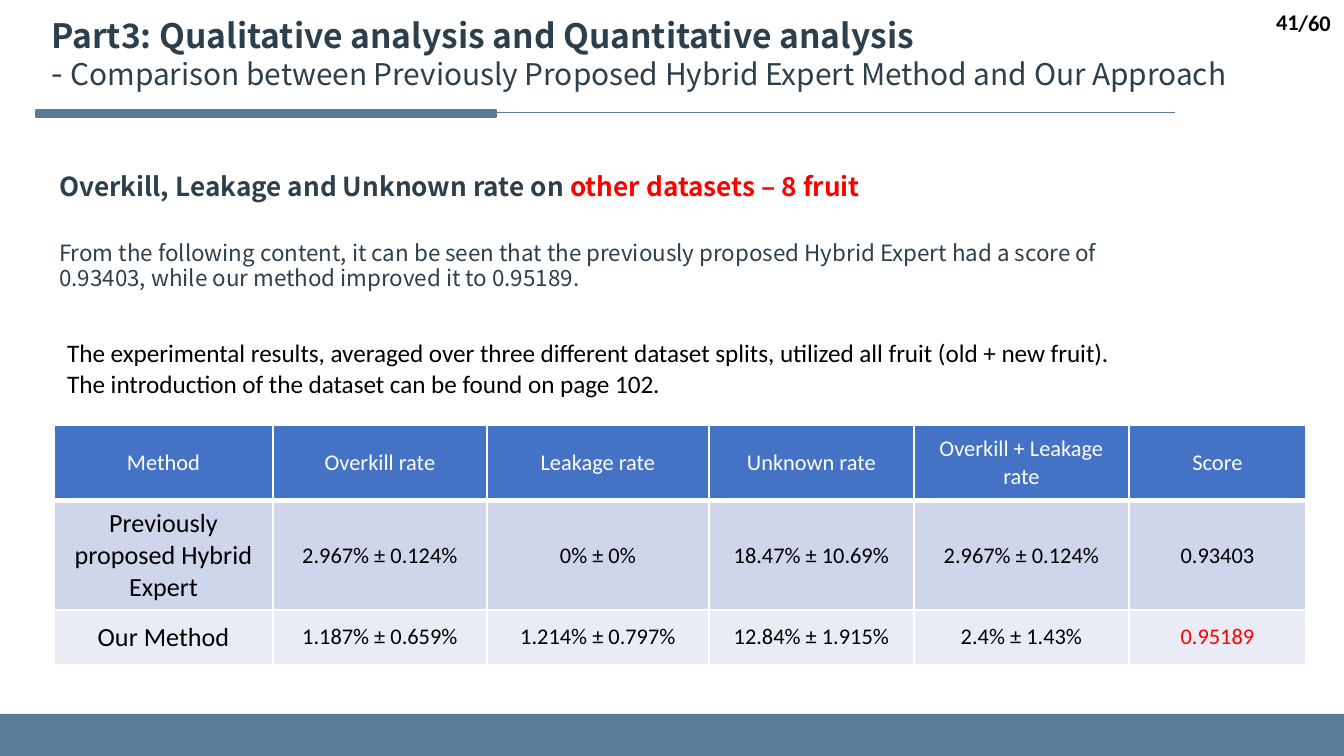
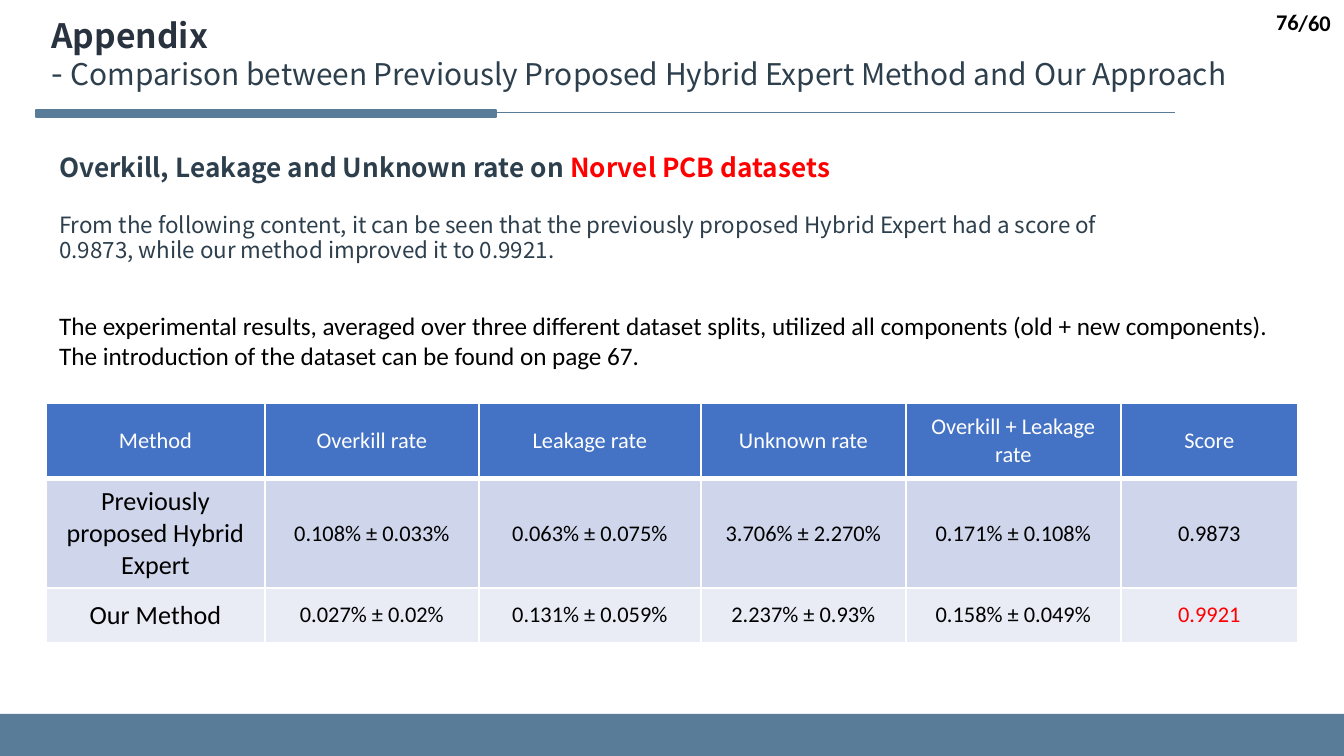
from copy import deepcopy

from lxml.etree import SubElement
from pptx import Presentation
from pptx.dml.color import RGBColor as RGB
from pptx.enum.shapes import MSO_CONNECTOR as Connector, MSO_SHAPE as Preset
from pptx.enum.text import MSO_ANCHOR as Anchor, MSO_AUTO_SIZE as AutoSize, PP_ALIGN as Align
from pptx.oxml.ns import qn
from pptx.util import Inches, Pt

# Look shared by the slides
SCALE = Inches(10) / 1344
WIDTH, HEIGHT = 1344, 756
COLORS = {
    "steel": "597D98", "ink": "2D3F4C", "dark": "29323F", "red": "FF0000",
    "black": "000000", "white": "FFFFFF",
    "header": "4472C4", "band": "CFD5EA", "pale": "E9EBF5",
}
SANS, BODY = "Noto Sans CJK SC", "Calibri"
TIGHT = 0.9

# Content
TOTAL = "/60"
SUBTITLE = "Comparison between Previously Proposed Hybrid Expert Method and Our Approach"
HEADING = "Overkill, Leakage and Unknown rate on "
SUMMARY = ("From the following content, it can be seen that the previously proposed Hybrid "
           "Expert had a score of {}, while our method improved it to {}.")
NOTES = ("The experimental results, averaged over three different dataset splits, utilized all {}.",
         "The introduction of the dataset can be found on page {}.")
COLUMNS = ["Method", "Overkill rate", "Leakage rate", "Unknown rate",
           "Overkill + Leakage\nrate", "Score"]
METHODS = ["Previously proposed Hybrid Expert", "Our Method"]
COLUMN_WIDTHS = [219, 214, 222, 205, 215, 177]
ROW_HEIGHTS = [76, 76, 55]
TABLE_HEIGHT = 238

SLIDES = [
    {
        "title": "Part3: Qualitative analysis and Quantitative analysis",
        "title_color": "ink", "title_width": 1280, "page": "41",
        "dataset": "other datasets – 8 fruit",
        "subject": "fruit (old + new fruit)", "reference": 102,
        "results": [
            ["2.967% ± 0.124%", "0% ± 0%", "18.47% ± 10.69%", "2.967% ± 0.124%", "0.93403"],
            ["1.187% ± 0.659%", "1.214% ± 0.797%", "12.84% ± 1.915%", "2.4% ± 1.43%", "0.95189"],
        ],
        "padded_rows": [1],
        "heading_top": 167, "summary_top": 236,
        "notes_at": (54, 331, 1210, 75), "table_at": (54, 425),
    },
    {
        "title": "Appendix",
        "title_color": "dark", "title_width": 1292, "page": "76",
        "dataset": "Norvel PCB datasets",
        "subject": "components (old + new components)", "reference": 67,
        "results": [
            ["0.108% ± 0.033%", "0.063% ± 0.075%", "3.706% ± 2.270%", "0.171% ± 0.108%", "0.9873"],
            ["0.027% ± 0.02%", "0.131% ± 0.059%", "2.237% ± 0.93%", "0.158% ± 0.049%", "0.9921"],
        ],
        "padded_rows": [1, 2],
        "heading_top": 148, "summary_top": 208,
        "notes_at": (46, 304, 1252, 75), "table_at": (46, 403),
    },
]


def px(length):
    return round(length * SCALE)


def rgb(name):
    return RGB.from_string(COLORS[name])


def style(run, size, face, color, bold=False):
    font = run.font
    font.size, font.name, font.bold = Pt(size), face, bold
    font.color.rgb = rgb(color)


def add_runs(paragraph, pieces):
    """Each piece is (text, size, face, color, bold)."""
    for text, *look in pieces:
        run = paragraph.add_run()
        run.text = text
        style(run, *look)


def set_lines(frame, text, size, face, color, bold=False, align=Align.LEFT, spacing=None):
    frame.text = text
    for paragraph in frame.paragraphs:
        paragraph.alignment = align
        paragraph.line_spacing = spacing
        for run in paragraph.runs:
            style(run, size, face, color, bold)


def text_box(slide, box, anchor=Anchor.TOP):
    frame = slide.shapes.add_textbox(*map(px, box)).text_frame
    frame.word_wrap = True
    frame.vertical_anchor = anchor
    return frame


# Footer band and title rule
def add_bar(slide, box, outlined=False):
    bar = slide.shapes.add_shape(Preset.RECTANGLE, *map(px, box))
    bar.shadow.inherit = False
    bar.fill.solid()
    bar.fill.fore_color.rgb = rgb("steel")
    if outlined:
        bar.line.color.rgb = rgb("steel")
        bar.line.width = Pt(1)
    else:
        bar.line.fill.background()


def add_frame(slide):
    add_bar(slide, (0, 714, WIDTH, HEIGHT - 714))
    rule = slide.shapes.add_connector(Connector.STRAIGHT, *map(px, (1175, 113, 36, 113)))
    rule.line.color.rgb = rgb("steel")
    rule.line.width = Pt(0.5)
    SubElement(rule._element.spPr, qn("a:effectLst"))
    add_bar(slide, (36, 110, 460, 7), outlined=True)


def add_title(slide, content):
    title = slide.shapes.title
    title.left, title.top, title.width, title.height = map(
        px, (38, 13, content["title_width"], 95))
    frame = title.text_frame
    frame.auto_size = AutoSize.NONE
    frame.word_wrap = True
    frame.vertical_anchor = Anchor.TOP
    paragraph = frame.paragraphs[0]
    paragraph.alignment = Align.LEFT
    paragraph.line_spacing = TIGHT
    add_runs(paragraph, [(content["title"], 18, SANS, content["title_color"], True)])
    # The break takes the size of the first line
    paragraph.add_line_break()
    paragraph._p[-1].append(deepcopy(paragraph.runs[0]._r.rPr))
    add_runs(paragraph, [("- ", 18, SANS, "ink", False), (SUBTITLE, 16, SANS, "ink", False)])


# Results table
def add_borders(cell, bottom):
    properties = cell._tc.get_or_add_tcPr()
    for side, points in (("L", 1), ("R", 1), ("T", 1), ("B", bottom)):
        line = SubElement(properties, qn(f"a:ln{side}"), w=str(Pt(points)))
        SubElement(SubElement(line, qn("a:solidFill")), qn("a:srgbClr"), val=COLORS["white"])


def add_results(slide, content):
    rows = [COLUMNS] + [[method] + values
                        for method, values in zip(METHODS, content["results"])]
    box = (*content["table_at"], sum(COLUMN_WIDTHS), TABLE_HEIGHT)
    graphic = slide.shapes.add_table(len(rows), len(COLUMNS), *map(px, box))
    table = graphic.table
    for column, width in zip(table.columns, COLUMN_WIDTHS):
        column.width = px(width)
    for row, height in zip(table.rows, ROW_HEIGHTS):
        row.height = px(height)
    graphic.height = px(TABLE_HEIGHT)

    for r, (row, fill) in enumerate(zip(rows, ("header", "band", "pale"))):
        for c, text in enumerate(row):
            cell = table.cell(r, c)
            is_method = r > 0 and c == 0
            is_best = r == len(rows) - 1 and c == len(row) - 1
            color = "white" if r == 0 else "red" if is_best else "black"
            add_borders(cell, 3 if r == 0 else 1)
            cell.fill.solid()
            cell.fill.fore_color.rgb = rgb(fill)
            cell.vertical_anchor = Anchor.MIDDLE
            if r in content["padded_rows"] and c > 0:
                cell.margin_left = cell.margin_right = Inches(0.13)
                cell.margin_top = cell.margin_bottom = Inches(0.07)
            set_lines(cell.text_frame, text, 14 if is_method else 12, BODY, color,
                      align=Align.CENTER)


def add_slide(deck, content):
    slide = deck.slides.add_slide(deck.slide_layouts[5])
    add_frame(slide)
    add_results(slide, content)
    add_title(slide, content)

    # Notes on the data
    first, second = NOTES
    notes = first.format(content["subject"]) + "\n" + second.format(content["reference"])
    set_lines(text_box(slide, content["notes_at"]), notes, 13.5, BODY, "black")

    # Heading and summary
    heading = text_box(slide, (46, content["heading_top"], 997, 46)).paragraphs[0]
    heading.line_spacing = TIGHT
    add_runs(heading, [(HEADING, 14, SANS, "ink", True),
                       (content["dataset"], 14, SANS, "red", True)])
    scores = [values[-1] for values in content["results"]]
    set_lines(text_box(slide, (46, content["summary_top"], 1126, 67)),
              SUMMARY.format(*scores), 12, SANS, "ink", spacing=TIGHT)

    # Page number
    for text, box in ((TOTAL, (1282, 2, 62, 40)), (content["page"], (1042, 1, 270, 41))):
        set_lines(text_box(slide, box, Anchor.MIDDLE), text, 12, BODY, "black", True, Align.RIGHT)


def main():
    deck = Presentation()
    deck.slide_width, deck.slide_height = px(WIDTH), px(HEIGHT)
    for content in SLIDES:
        add_slide(deck, content)
    deck.save("out.pptx")


if __name__ == "__main__":
    main()
